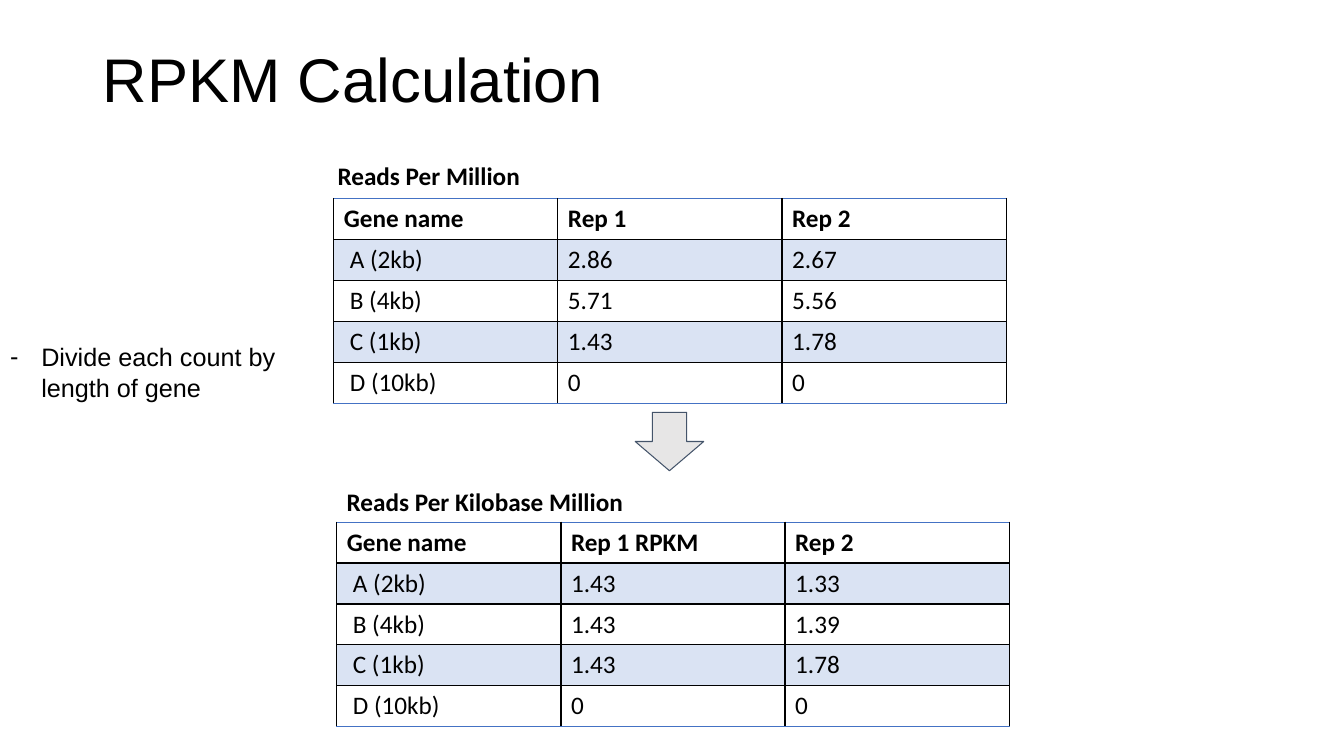
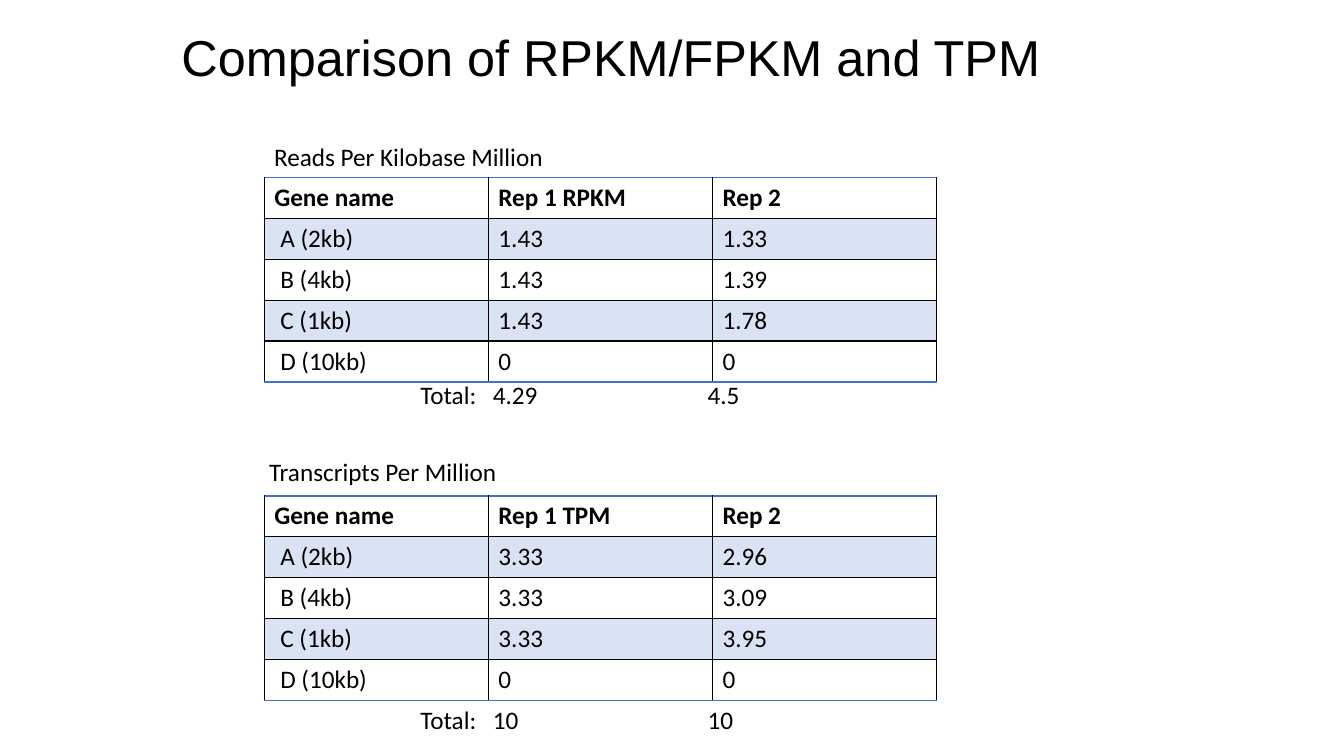
import pptx
import pptx.dml.color
import pptx.enum.shapes
import pptx.enum.text
import pptx.oxml
import pptx.oxml.ns
import pptx.util
from pptx.util import Inches

BLACK, BLUE, BAND, GREY, SLATE = "000000", "4472C4", "DAE3F3", "E7E6E6", "44546A"
HEAD_FONT, TABLE_FONT = "Arial", "Calibri"
TABLE_W, TABLE_H = 6.67, 2.03
LABEL_H = 0.4
TOTAL_TABS = (0.72, 2.85)

GENES = ("A (2kb)", "B (4kb)", "C (1kb)", "D (10kb)")
RPM = (("2.86", "5.71", "1.43", "0"), ("2.67", "5.56", "1.78", "0"))
RPKM = (("1.43", "1.43", "1.43", "0"), ("1.33", "1.39", "1.78", "0"))
TPM = (("3.33", "3.33", "3.33", "0"), ("2.96", "3.09", "3.95", "0"))

SLIDES = [
    dict(
        layout=1,
        title=("RPKM Calculation", 44, 0.9, (0.92, 0.44, 11.5, 1.4)),
        note=("Divide each count by length of gene", (0, 3.34, 3.17, 0.71)),
        arrow=(6.3, 4.09, 0.68, 0.58),
        label_bold=True,
        tables=[
            dict(label="Reads Per Million", label_at=(3.25, 1.54), at=(3.31, 1.97),
                 rep1="Rep 1", values=RPM),
            dict(label="Reads Per Kilobase Million", label_at=(3.34, 4.78), at=(3.34, 5.18),
                 rep1="Rep 1 RPKM", values=RPKM),
        ],
    ),
    dict(
        layout=5,
        title=("Comparison of RPKM/FPKM and TPM", 36, 1.0, (1.7, 0.21, 9.14, 0.71)),
        label_bold=False,
        tables=[
            dict(label="Reads Per Kilobase Million", label_at=(2.62, 1.35), at=(2.62, 1.76),
                 rep1="Rep 1 RPKM", values=RPKM,
                 totals=("4.29", "4.5"), totals_at=(4.07, 3.71)),
            dict(label="Transcripts Per Million", label_at=(2.57, 4.48), at=(2.62, 4.92),
                 rep1="Rep 1 TPM", values=TPM,
                 totals=("10", "10"), totals_at=(4.07, 6.94)),
        ],
    ),
]


def rgb(value):
    return pptx.dml.color.RGBColor.from_string(value)


def add_xml(parent, tag, index=None, **attributes):
    element = pptx.oxml.parse_xml(f"<a:{tag} {pptx.oxml.ns.nsdecls('a')}/>")
    for name, value in attributes.items():
        element.set(name, str(value))
    parent.insert(len(parent) if index is None else index, element)
    return element


def add_run(p, text, size=18, font=TABLE_FONT, bold=False):
    r = p.add_run()
    r.text = text
    r.font.size = pptx.util.Pt(size)
    r.font.name = font
    r.font.bold = bold
    r.font.color.rgb = rgb(BLACK)


def place(sp, at):
    sp.left, sp.top, sp.width, sp.height = map(Inches, at)


def open_frame(sp):
    tf = sp.text_frame
    tf.word_wrap = True
    tf.auto_size = pptx.enum.text.MSO_AUTO_SIZE.NONE
    tf.vertical_anchor = pptx.enum.text.MSO_ANCHOR.TOP
    p = tf.paragraphs[0]
    p.alignment = pptx.enum.text.PP_ALIGN.LEFT
    return p


def add_title(s, text, size, spacing, at):
    sp = s.shapes.title
    place(sp, at)
    p = open_frame(sp)
    p.line_spacing = spacing
    add_run(p, text, size, HEAD_FONT)


def add_note(s, text, at):
    sp = s.placeholders[1]
    place(sp, at)
    p = open_frame(sp)
    pPr = p._p.get_or_add_pPr()
    pPr.set("marL", str(int(Inches(0.31))))
    pPr.set("indent", str(-int(Inches(0.31))))
    add_xml(pPr, "buChar", char="-")
    p.space_before = pptx.util.Pt(0)
    add_run(p, text, font=HEAD_FONT)


def add_label(s, text, at, width, bold=False, tabs=()):
    sp = s.shapes.add_textbox(*map(Inches, (*at, width, LABEL_H)))
    p = open_frame(sp)
    if tabs:
        stops = add_xml(p._p.get_or_add_pPr(), "tabLst")
        for tab in tabs:
            add_xml(stops, "tab", pos=int(Inches(tab)), algn="l")
    add_run(p, text, bold=bold)


def format_cell(cell, banded, edges):
    if banded:
        cell.fill.solid()
        cell.fill.fore_color.rgb = rgb(BAND)
    else:
        cell.fill.background()
    tcPr = cell._tc.get_or_add_tcPr()
    for i, edge in enumerate(edges):
        ln = add_xml(tcPr, edge, i, w=12700)
        add_xml(add_xml(ln, "solidFill"), "srgbClr", val=BLUE)


def add_counts(s, at, rep1, values):
    rows = [("Gene name", rep1, "Rep 2"), *zip(GENES, *values)]
    table = s.shapes.add_table(len(rows), 3, *map(Inches, (*at, TABLE_W, TABLE_H))).table
    table.first_row = table.horz_banding = False
    tblPr = table._tbl.tblPr
    tblPr.remove(tblPr.find(pptx.oxml.ns.qn("a:tableStyleId")))
    last = len(rows) - 1
    for i, row in enumerate(rows):
        edges = ("lnT", "lnB") if i == 0 else ("lnB",) if i == last else ()
        for j, text in enumerate(row):
            cell = table.cell(i, j)
            if i and j == 0:
                cell.margin_left = Inches(0.16)
            add_run(cell.text_frame.paragraphs[0], text, bold=i == 0)
            format_cell(cell, i % 2 == 1, edges)


def add_arrow(s, at):
    sp = s.shapes.add_shape(pptx.enum.shapes.MSO_SHAPE.DOWN_ARROW, *map(Inches, at))
    sp.shadow.inherit = False
    sp.fill.solid()
    sp.fill.fore_color.rgb = rgb(GREY)
    sp.line.color.rgb = rgb(SLATE)
    sp.line.width = pptx.util.Pt(0.75)


def main():
    prs = pptx.Presentation()
    prs.slide_width, prs.slide_height = Inches(13.33), Inches(7.5)
    for page in SLIDES:
        s = prs.slides.add_slide(prs.slide_layouts[page["layout"]])
        add_title(s, *page["title"])
        if "note" in page:
            add_note(s, *page["note"])
        for t in page["tables"]:
            add_counts(s, t["at"], t["rep1"], t["values"])
            add_label(s, t["label"], t["label_at"], 3.63, page["label_bold"])
            if "totals" in t:
                add_label(s, "\t".join(("Total:", *t["totals"])), t["totals_at"], 5.7,
                          tabs=TOTAL_TABS)
        if "arrow" in page:
            add_arrow(s, page["arrow"])
    prs.save("out.pptx")


if __name__ == "__main__":
    main()
